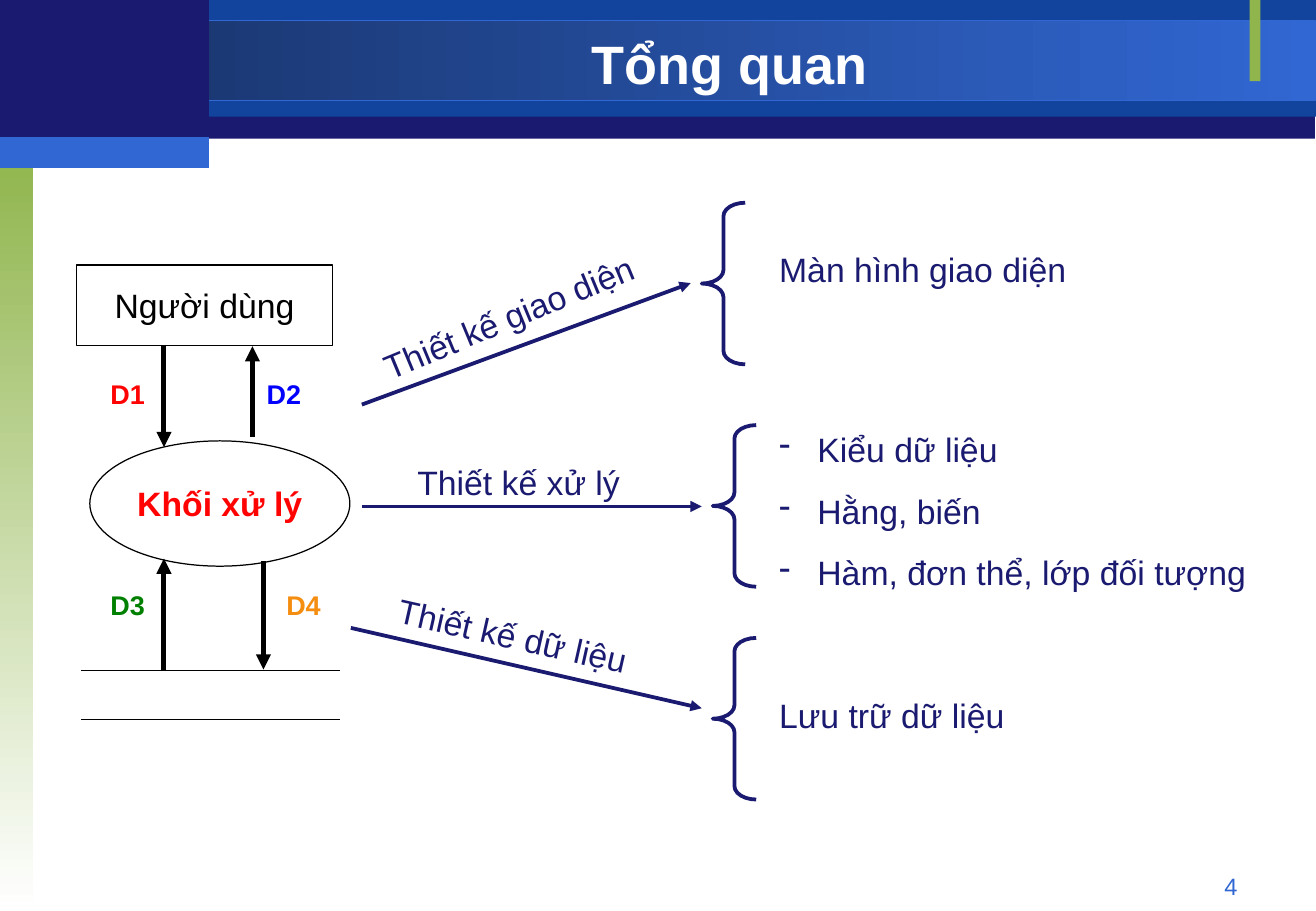
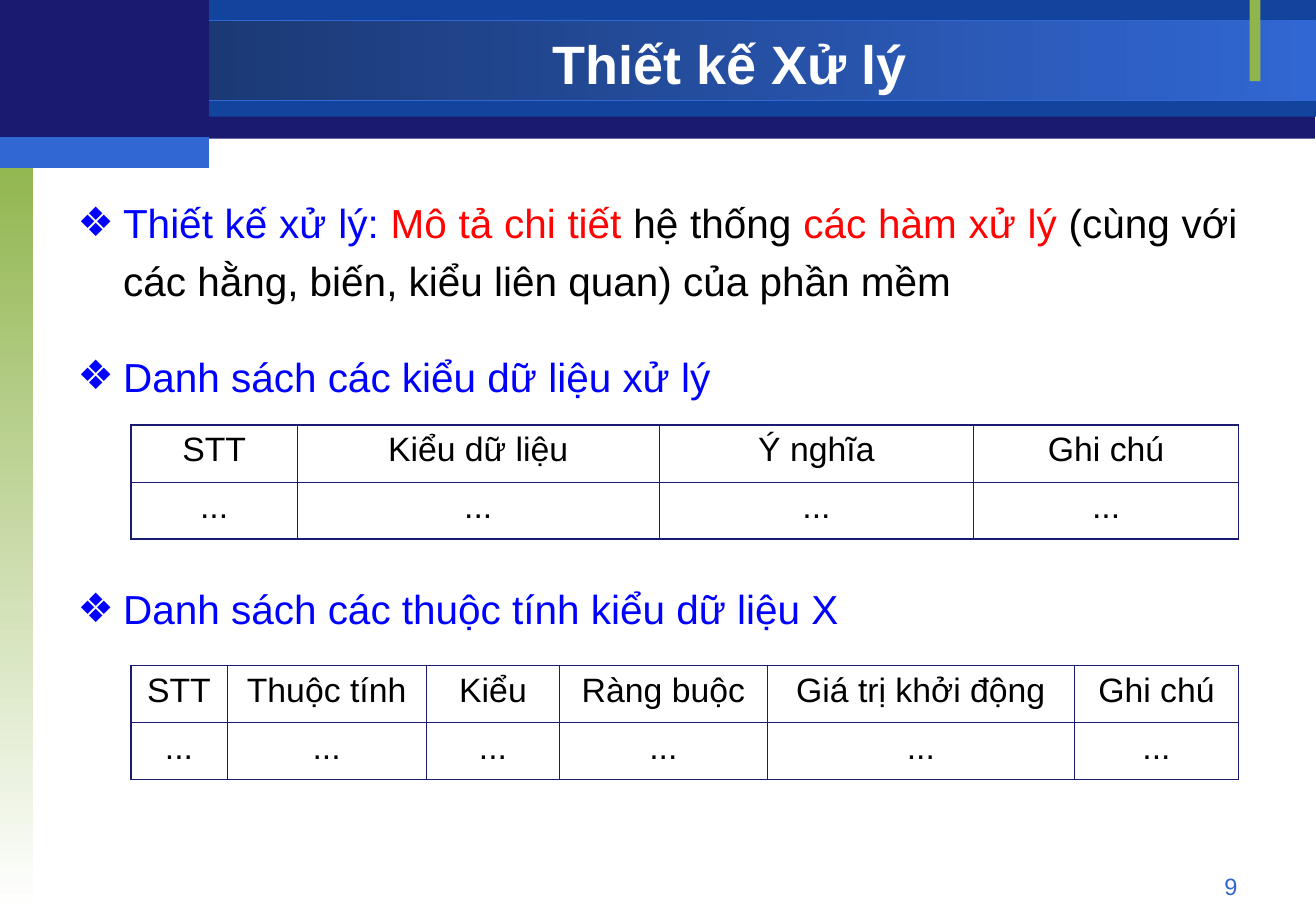
from lxml.etree import SubElement
from pptx import Presentation
from pptx.dml.color import RGBColor
from pptx.enum.shapes import MSO_CONNECTOR, MSO_SHAPE
from pptx.enum.text import MSO_ANCHOR, MSO_AUTO_SIZE, PP_ALIGN
from pptx.oxml.ns import qn
from pptx.util import Cm, Pt

HUES = {
    "navy": "1A1A70", "royal": "12449E", "deep": "173062", "sky": "3167D3",
    "lime": "90B54D", "white": "FFFFFF", "black": "000000", "red": "FF0303",
    "blue": "0000FF", "green": "008000", "gold": "F48D10",
}
FONT = "Arial"


def hue(name):
    return RGBColor.from_string(HUES[name])


def put(item, **vals):
    for key, val in vals.items():
        setattr(item, key, val)


class Deck:
    def __init__(self):
        self.prs = Presentation()
        put(self.prs, slide_width=Cm(27.53), slide_height=Cm(19.05))
        self.slide = None

    def page(self, title, number, layout):
        self.slide = self.prs.slides.add_slide(self.prs.slide_layouts[layout])
        if len(self.prs.slides) == 1:
            self.bands()
        head = self.slide.shapes.title
        self.place(head, (4.37, 0.58, 21.79, 1.47))
        put(head.text_frame, vertical_anchor=MSO_ANCHOR.MIDDLE, auto_size=MSO_AUTO_SIZE.NONE)
        self.text(head.text_frame.paragraphs[0], [(title, "white")], 32, True, PP_ALIGN.CENTER)
        self.label([str(number)], (19.71, 18.11, 6.43, 0.69), "sky", 14, align=PP_ALIGN.RIGHT)

    def bands(self):
        parts = [
            ((0, 0.03, 27.51, 2.87), ["navy"], None, 0),
            ((4.37, 0, 23.16, 2.44), ["royal"], None, 0),
            ((0, 0.43, 27.51, 1.68), ["deep", "sky"], "sky", 0),
            ((0, 3.18, 0.69, 15.87), ["lime", "white"], None, 270),
            ((26.14, 0, 0.23, 1.7), ["lime"], None, 0),
            ((0, 0, 4.37, 2.97), ["navy"], None, 0),
            ((0, 2.87, 4.37, 0.64), ["sky"], None, 0),
        ]
        tree = self.prs.slide_master.shapes.element
        for spot, (box, fill, edge, turn) in enumerate(parts):
            band = self.shape(MSO_SHAPE.RECTANGLE, box, fill, edge, turn=turn).element
            band.find(".//" + qn("p:cNvPr")).set("id", str(20 + spot))
            tree.insert(2 + spot, band)

    def place(self, item, box):
        put(item, **dict(zip(("left", "top", "width", "height"), map(Cm, box))))

    def shape(self, kind, box, fill=(), edge=None, width=0.75, turn=0):
        item = self.slide.shapes.add_shape(kind, *map(Cm, box))
        item.shadow.inherit = False
        if len(fill) == 2:
            item.fill.gradient()
            item.fill.gradient_angle = turn
            for stop, name in zip(item.fill.gradient_stops, fill):
                stop.color.rgb = hue(name)
        elif fill:
            item.fill.solid()
            item.fill.fore_color.rgb = hue(fill[0])
        else:
            item.fill.background()
        if edge:
            item.line.color.rgb = hue(edge)
            item.line.width = Pt(width)
        else:
            item.line.fill.background()
        return item

    def node(self, kind, box, text, name, bold=False):
        item = self.shape(kind, box, edge="black")
        put(item.text_frame, word_wrap=False, vertical_anchor=MSO_ANCHOR.MIDDLE)
        self.text(item.text_frame.paragraphs[0], [(text, name)], 20, bold, PP_ALIGN.CENTER)

    def brace(self, left, top):
        item = self.shape(MSO_SHAPE.LEFT_BRACE, (left, top, 0.91, 3.38), edge="navy", width=2.25)
        item.adjustments[0] = 0.31

    def line(self, start, end, name="black", width=0.75, arrow=True):
        item = self.slide.shapes.add_connector(MSO_CONNECTOR.STRAIGHT, *map(Cm, start + end))
        item.line.color.rgb = hue(name)
        item.line.width = Pt(width)
        props = item.element.spPr
        if arrow:
            SubElement(props.find(qn("a:ln")), qn("a:tailEnd"), type="triangle")
        SubElement(props, qn("a:effectLst"))

    def text(self, para, runs, size, bold=False, align=PP_ALIGN.LEFT):
        para.alignment = align
        for words, name in runs:
            run = para.add_run()
            run.text = words
            put(run.font, name=FONT, size=Pt(size), bold=bold)
            run.font.color.rgb = hue(name)

    def bullet(self, para, mark, name, indent):
        props = para._p.get_or_add_pPr()
        props.set("marL", str(Cm(indent)))
        props.set("indent", str(-Cm(indent)))
        tint = SubElement(props, qn("a:buClr"))
        SubElement(tint, qn("a:srgbClr"), val=HUES[name])
        SubElement(props, qn("a:buChar"), char=mark)

    def label(self, lines, box, name="navy", size=20, bold=False, wrap=True,
              turn=0, align=PP_ALIGN.LEFT):
        item = self.slide.shapes.add_textbox(*map(Cm, box))
        item.rotation = turn
        frame = item.text_frame
        put(frame, word_wrap=wrap)
        if not wrap:
            frame.auto_size = MSO_AUTO_SIZE.SHAPE_TO_FIT_TEXT
        for spot, words in enumerate(lines):
            para = frame.add_paragraph() if spot else frame.paragraphs[0]
            if len(lines) > 1:
                self.bullet(para, "-", name, 0.8)
            if spot:
                para.space_before = Pt(12.5)
            self.text(para, [(words, name)], size, bold, align)

    def body(self, items, box):
        hold = self.slide.placeholders[1]
        self.place(hold, box)
        frame = hold.text_frame
        frame.auto_size = MSO_AUTO_SIZE.NONE
        for spot, (gap, runs) in enumerate(items):
            para = frame.add_paragraph() if spot else frame.paragraphs[0]
            self.bullet(para, "❖", "blue", 0.95)
            put(para, line_spacing=1.2, space_before=Pt(gap))
            self.text(para, runs, 24, align=PP_ALIGN.JUSTIFY)

    def table(self, top, heads, widths):
        rows = [heads, ["..."] * len(heads)]
        box = (2.74, top, sum(widths), 2.38)
        grid = self.slide.shapes.add_table(2, len(heads), *map(Cm, box)).table
        put(grid, first_row=False, horz_banding=False)
        for col, width in zip(grid.columns, widths):
            col.width = Cm(width)
        last = len(heads) - 1
        for r, row in enumerate(rows):
            grid.rows[r].height = Cm(1.19)
            for c, words in enumerate(row):
                cell = grid.cell(r, c)
                put(cell, margin_left=Cm(0.28), margin_right=Cm(0.28))
                self.rule(cell, {"L": c == 0, "R": c == last, "T": r == 0, "B": r == 1})
                cell.fill.background()
                self.text(cell.text_frame.paragraphs[0], [(words, "black")], 20,
                          align=PP_ALIGN.CENTER)

    def rule(self, cell, sides):
        props = cell._tc.get_or_add_tcPr()
        for side, outer in sides.items():
            edge = SubElement(props, qn("a:ln" + side), w=str(Pt(1.08 if outer else 0.45)))
            fill = SubElement(edge, qn("a:solidFill"))
            SubElement(fill, qn("a:srgbClr"), val=HUES["navy"])


def main():
    deck = Deck()
    deck.page("Tổng quan", 4, 5)
    deck.node(MSO_SHAPE.RECTANGLE, (1.6, 5.54, 5.36, 1.68), "Người dùng", "black")
    deck.node(MSO_SHAPE.OVAL, (1.88, 9.22, 5.44, 2.62), "Khối xử lý", "red", True)
    for y in (14.02, 15.04):
        deck.line((1.7, y), (7.11, y), arrow=False)
    flows = [(3.43, 7.24, 9.35), (5.28, 9.14, 7.24), (3.43, 14, 11.68), (5.51, 11.73, 14)]
    for x, start, end in flows:
        deck.line((x, start), (x, end), width=3)
    tags = [("D1", 2.06, 7.77, "red"), ("D2", 5.33, 7.77, "blue"),
            ("D3", 2.06, 12.19, "green"), ("D4", 5.74, 12.19, "gold")]
    for text, x, y, name in tags:
        deck.label([text], (x, y, 1.22, 0.94), name, 16, True, False)

    plans = [
        ((7.57, 8.46), (14.45, 5.92), "Thiết kế giao diện", (7.57, 5.92, 6.88, 1.12), 337.5,
         (14.68, 4.24), ["Màn hình giao diện"], (16.05, 5.08, 7.57, 1.12)),
        ((7.57, 10.59), (14.68, 10.59), "Thiết kế xử lý", (8.48, 9.53, 5.28, 1.12), 0,
         (14.91, 8.89), ["Kiểu dữ liệu", "Hằng, biến", "Hàm, đơn thể, lớp đối tượng"],
         (16.05, 8.84, 11.23, 3.68)),
        ((7.34, 13.13), (14.68, 14.81), "Thiết kế dữ liệu", (8.03, 12.8, 5.97, 1.12), 12.7,
         (14.91, 13.34), ["Lưu trữ dữ liệu"], (16.05, 14.4, 7.57, 1.12)),
    ]
    for start, end, text, box, turn, brace, lines, area in plans:
        deck.line(start, end, "navy", 2.25)
        deck.label([text], box, turn=turn)
        deck.brace(*brace)
        deck.label(lines, area)

    deck.page("Thiết kế Xử lý", 9, 1)
    deck.body([
        (0, [("Thiết kế xử lý: ", "blue"), ("Mô tả chi tiết", "red"), (" hệ thống ", "black"),
             ("các hàm xử lý", "red"),
             (" (cùng với các hằng, biến, kiểu liên quan) của phần mềm", "black")]),
        (22, [("Danh sách các kiểu dữ liệu xử lý", "blue")]),
        (103, [("Danh sách các thuộc tính kiểu dữ liệu X", "blue")]),
    ], (1.37, 3.81, 24.77, 13.97))
    deck.table(8.89, ["STT", "Kiểu dữ liệu", "Ý nghĩa", "Ghi chú"], [3.48, 7.57, 6.58, 5.54])
    deck.table(13.92, ["STT", "Thuộc tính", "Kiểu", "Ràng buộc", "Giá trị khởi động", "Ghi chú"],
               [2.01, 4.17, 2.79, 4.34, 6.43, 3.43])
    deck.prs.save("out.pptx")


if __name__ == "__main__":
    main()
